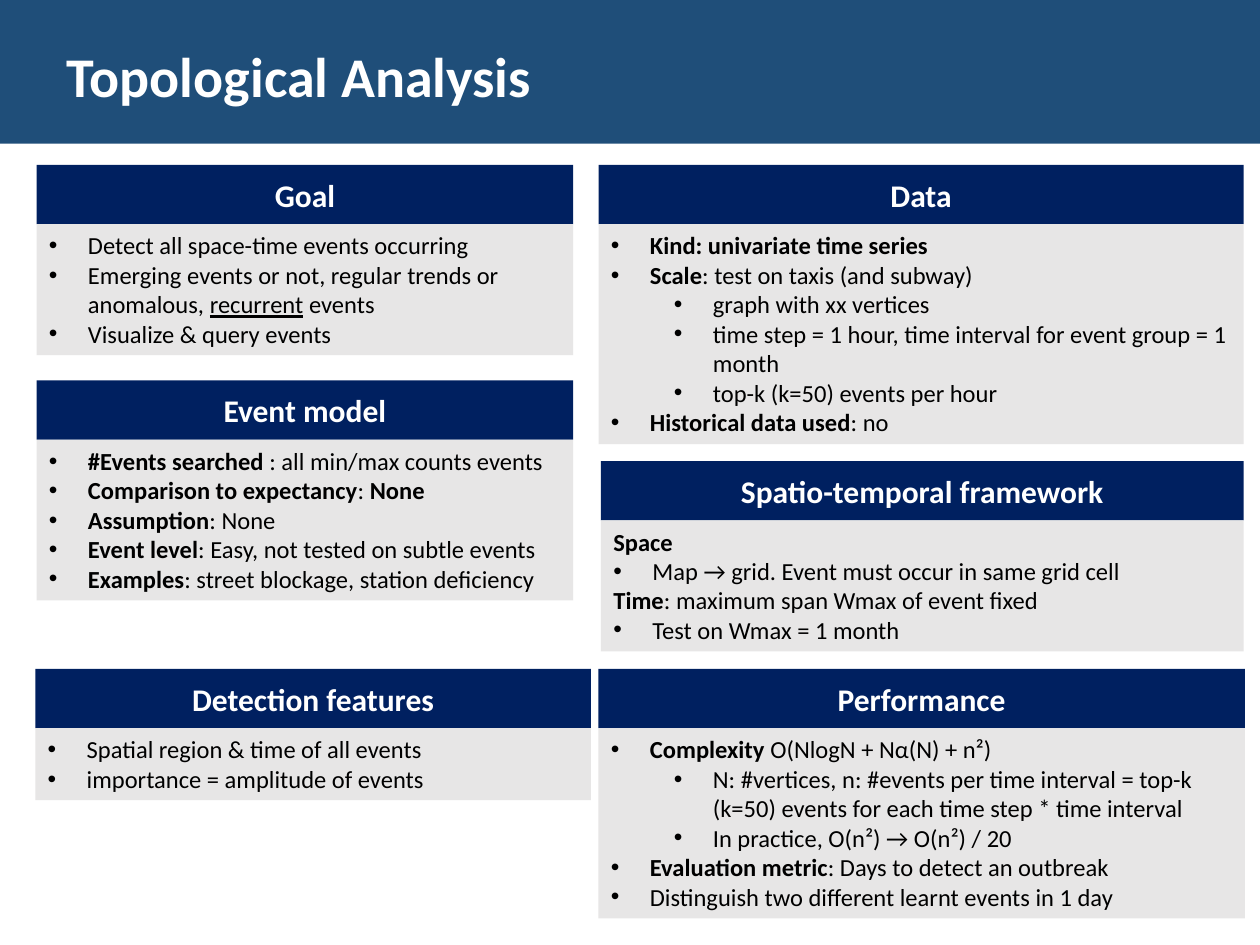
from lxml.etree import SubElement
from pptx import Presentation
from pptx.dml.color import RGBColor
from pptx.enum.shapes import MSO_SHAPE
from pptx.enum.text import MSO_ANCHOR, MSO_AUTO_SIZE, PP_ALIGN
from pptx.oxml.ns import qn
from pptx.util import Inches, Pt

BLUE, NAVY, GREY, WHITE, BLACK = "1F4E79", "002060", "E7E6E6", "FFFFFF", "000000"
HEAD, LINE, PAD = 0.47, 0.235, 0.1
PLAIN, TOP, SUB = None, 0, 1

# Text between bars is bold, text between underscores is underlined.
# Panel: heading, left, top, width, number of text lines, paragraphs
PANELS = [
    ("Data", 4.75, 1.31, 5.12, 7, [
        (TOP, "|Kind: univariate time series|"),
        (TOP, "|Scale|: test on taxis (and subway)"),
        (SUB, "graph with xx vertices"),
        (SUB, "time step = 1 hour, time interval for event group = 1 month"),
        (SUB, "top-k (k=50) events per hour"),
        (TOP, "|Historical data used|: no")]),
    ("Event model", 0.29, 3.02, 4.26, 5, [
        (TOP, "|#Events searched |: all min/max counts events"),
        (TOP, "|Comparison to expectancy|: |None|"),
        (TOP, "|Assumption|: None"),
        (TOP, "|Event level|: Easy, not tested on subtle events"),
        (TOP, "|Examples|: street blockage, station deficiency")]),
    ("Goal", 0.29, 1.31, 4.26, 4, [
        (TOP, "Detect all space-time events occurring"),
        (TOP, "Emerging events or not, regular trends or anomalous, "
              "_recurrent_ events"),
        (TOP, "Visualize & query events")]),
    ("Spatio-temporal framework", 4.77, 3.66, 5.1, 4, [
        (PLAIN, "|Space|"),
        (TOP, "Map → grid. Event must occur in same grid cell"),
        (PLAIN, "|Time|: maximum span Wmax of event fixed"),
        (TOP, "Test on Wmax = 1 month")]),
    ("Detection features", 0.28, 5.31, 4.41, 2, [
        (TOP, "Spatial region & time of all events"),
        (TOP, "importance = amplitude of events")]),
    ("Performance", 4.75, 5.31, 5.13, 6, [
        (TOP, "|Complexity| O(NlogN + Nα(N) + n²)"),
        (SUB, "N: #vertices, n: #events per time interval = top-k (k=50) "
              "events for each time step * time interval"),
        (SUB, "In practice, O(n²) → O(n²) / 20"),
        (TOP, "|Evaluation metric|: Days to detect an outbreak"),
        (TOP, "Distinguish two different learnt events in 1 day")]),
]


def paint(part, color):
    """Give a fill or font colour part a solid hex colour."""
    part.solid()
    part.fore_color.rgb = RGBColor.from_string(color)


def add_run(para, text, size, color, **style):
    """Add one formatted run to a paragraph."""
    run = para.add_run()
    run.text = text
    style.update(name="Calibri", size=Pt(size))
    for key, value in style.items():
        setattr(run.font, key, value)
    paint(run.font.fill, color)


def add_box(left, top, width, height, color, anchor):
    """Add a plain filled rectangle."""
    box = slide.shapes.add_shape(
        MSO_SHAPE.RECTANGLE, *map(Inches, (left, top, width, height)))
    box.shadow.inherit = False
    box.line.fill.background()
    paint(box.fill, color)
    box.text_frame.word_wrap = True
    box.text_frame.vertical_anchor = anchor
    return box


def add_bullet(para, level):
    """Indent a paragraph and give it a round bullet."""
    para.level = level
    props = para._p.get_or_add_pPr()
    props.set("marL", str(Inches(0.31 + 0.5 * level)))
    props.set("indent", str(-Inches(0.31)))
    SubElement(props, qn("a:buFont"), typeface="Arial")
    SubElement(props, qn("a:buChar"), char="•")


def add_panel(name, left, top, width, lines, items):
    """Add a heading bar with its text box below."""
    head = add_box(left, top, width, HEAD, NAVY, MSO_ANCHOR.MIDDLE)
    para = head.text_frame.paragraphs[0]
    para.alignment = PP_ALIGN.CENTER
    add_run(para, name, 18, WHITE, bold=True)
    body = add_box(left, top + HEAD, width, PAD + lines * LINE, GREY,
                   MSO_ANCHOR.TOP)
    frame = body.text_frame
    frame.auto_size = MSO_AUTO_SIZE.SHAPE_TO_FIT_TEXT
    for i, (level, text) in enumerate(items):
        para = frame.add_paragraph() if i else frame.paragraphs[0]
        para.alignment = PP_ALIGN.LEFT
        if level is not PLAIN:
            add_bullet(para, level)
        for j, chunk in enumerate(text.split("|")):
            for k, part in enumerate(chunk.split("_")):
                if part:
                    add_run(para, part, 14, BLACK, bold=j % 2 == 1,
                            underline=k % 2 == 1)


deck = Presentation()
deck.slide_width, deck.slide_height = Inches(10), Inches(7.5)
slide = deck.slides.add_slide(deck.slide_layouts[5])

title = slide.shapes.title
band = add_box(0, -0.01, 10, 1.15, BLUE, MSO_ANCHOR.MIDDLE)
title._element.addprevious(band._element)
place = dict(left=0.43, top=0.28, width=9.13, height=0.64)
for key, value in place.items():
    setattr(title, key, Inches(value))
paint(title.fill, BLUE)
title.text_frame.vertical_anchor = MSO_ANCHOR.TOP
title.text_frame.auto_size = MSO_AUTO_SIZE.SHAPE_TO_FIT_TEXT
para = title.text_frame.paragraphs[0]
para.alignment = PP_ALIGN.LEFT
add_run(para, "Topological Analysis", 32, WHITE, bold=True)

for panel in PANELS:
    add_panel(*panel)

deck.save("out.pptx")
